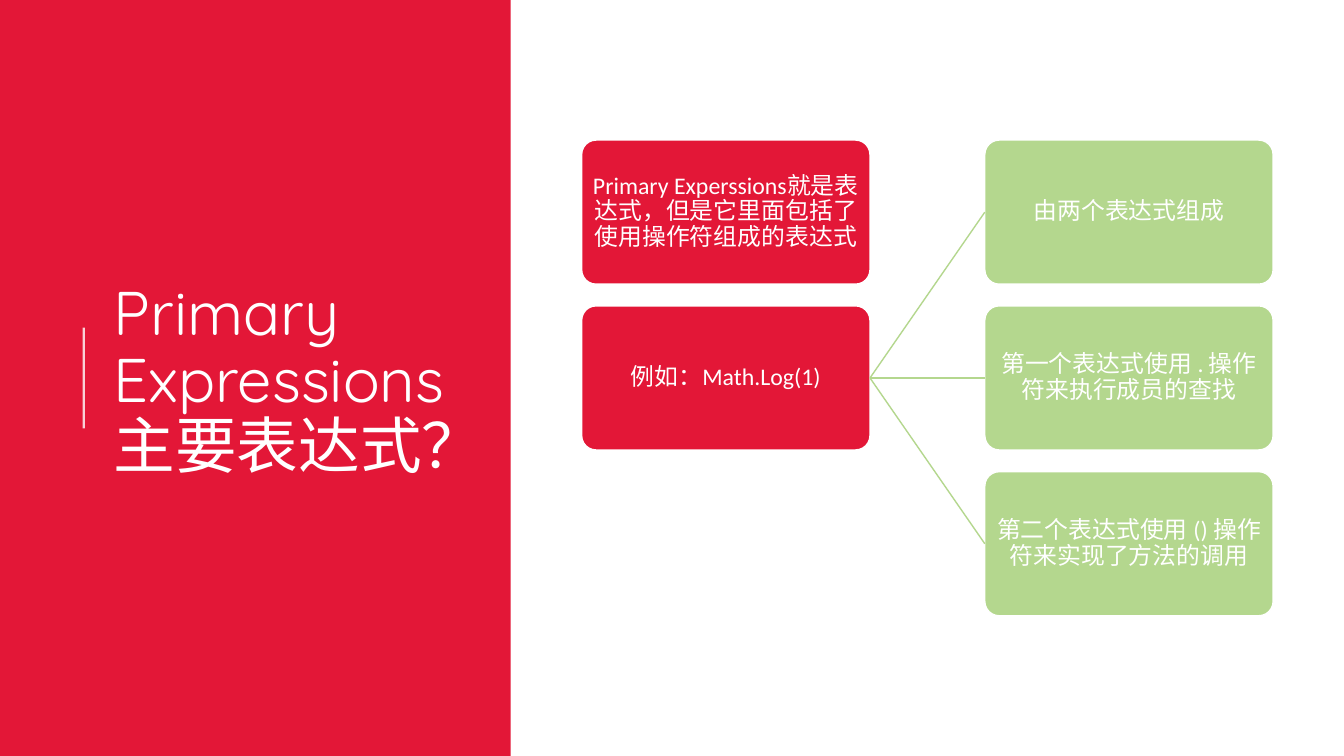
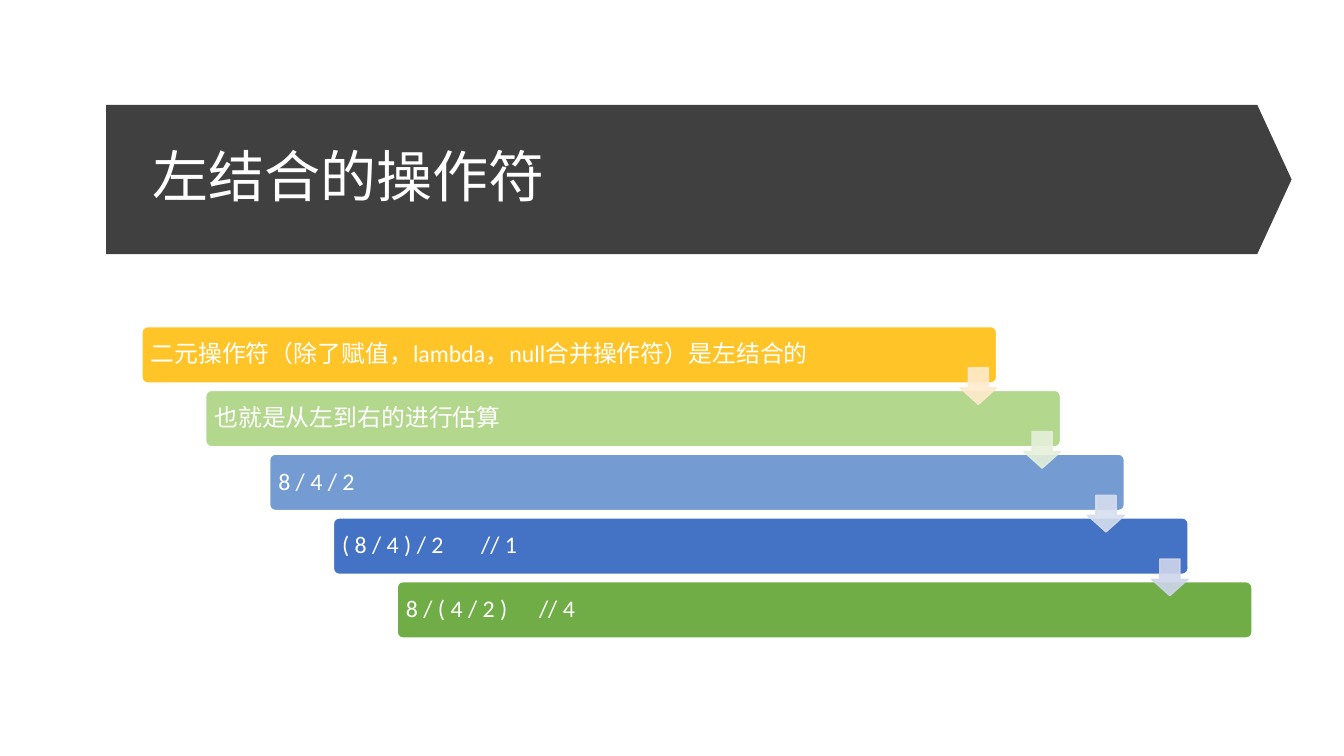
from dataclasses import dataclass

from lxml.etree import SubElement as Sub
from pptx import Presentation
from pptx.dml.color import RGBColor as Rgb
from pptx.enum.shapes import MSO_CONNECTOR as Conn, MSO_SHAPE as Kind
from pptx.enum.text import MSO_ANCHOR as Anchor, PP_ALIGN as Align
from pptx.oxml.ns import qn
from pptx.util import Inches, Pt


@dataclass(frozen=True)
class Theme:
    red: str = "E31737"
    lime: str = "B4D78E"
    gold: str = "FFC427"
    sky: str = "749CD3"
    blue: str = "4472C4"
    green: str = "70AD47"
    dark: str = "404040"
    white: str = "FFFFFF"
    tints: tuple = ("FFEACD", "E5F0DB", "D6DEEF", "CFD5EA")
    head: str = "Quicksand"
    body: str = "Calibri"
    cover: int = 44
    title: int = 40
    text: int = 17
    round: float = 0.1


@dataclass(frozen=True)
class Box:
    x: float
    y: float
    w: float
    h: float

    def cut(self, x, y, w, h):
        """Inner box, given in percent of this one."""
        return Box(self.x + self.w * x / 100, self.y + self.h * y / 100,
                   self.w * w / 100, self.h * h / 100)

    def area(self):
        return tuple(Inches(v) for v in (self.x, self.y, self.w, self.h))

    def left(self):
        return self.x, self.y + self.h / 2

    def right(self):
        return self.x + self.w, self.y + self.h / 2


THEME = Theme()
PAGE = Box(0, 0, 13.33, 7.5)


def paint(fmt, color, node, alpha=100):
    """Give a fill one solid colour, see-through below alpha 100."""
    fmt.solid()
    fmt.fore_color.rgb = Rgb.from_string(color)
    if alpha < 100:
        tone = node.find(qn("a:solidFill")).find(qn("a:srgbClr"))
        Sub(tone, qn("a:alpha"), val=str(alpha * 1000))


def stroke(item, color, width, alpha=100):
    item.line.width = Pt(width)
    paint(item.line.fill, color, item._element.spPr.find(qn("a:ln")), alpha)


def shape(slide, kind, box, fill, edge=None, alpha=100, adj=()):
    item = slide.shapes.add_shape(kind, *box.area())
    item.shadow.inherit = False
    for i, value in enumerate(adj):
        item.adjustments[i] = value
    paint(item.fill, fill, item._element.spPr, alpha)
    if edge:
        stroke(item, edge, 1, alpha)
    else:
        item.line.fill.background()
    return item


def line(slide, start, end, color, width=1, alpha=100):
    ends = [Inches(v) for v in (*start, *end)]
    item = slide.shapes.add_connector(Conn.STRAIGHT, *ends)
    stroke(item, color, width, alpha)
    Sub(item._element.spPr, qn("a:effectLst"))


def write(item, text, font, size, pads, align=Align.LEFT, tab=None):
    """Set one white paragraph; pads are the side and the top inset."""
    frame = item.text_frame
    frame.word_wrap = True
    frame.vertical_anchor = Anchor.MIDDLE
    frame.margin_left = frame.margin_right = Inches(pads[0])
    frame.margin_top = frame.margin_bottom = Inches(pads[1])
    para = frame.paragraphs[0]
    para.text = text
    para.alignment = align
    para.line_spacing = 0.9
    if tab:
        stops = Sub(para._p.get_or_add_pPr(), qn("a:tabLst"))
        Sub(stops, qn("a:tab"), pos=str(Inches(tab)), algn="l")
    for run in para.runs:
        run.font.name = font
        run.font.size = Pt(size)
        run.font.color.rgb = Rgb.from_string(THEME.white)


def panel(slide, box, text):
    shape(slide, Kind.RECTANGLE, box, THEME.red)
    label = slide.shapes.add_textbox(*box.cut(20.3, 10.4, 72.8, 80.3).area())
    write(label, text, THEME.head, THEME.cover, (0.1, 0.05))
    rule = box.cut(16.4, 43.33, 0, 13.34)
    line(slide, (rule.x, rule.y + rule.h), (rule.x, rule.y),
         THEME.white, 1.5, 80)


def tree(slide, box, roots, leaves):
    """Two columns of cards; the last root branches to every leaf."""
    wide, high = 41.7, 30.3
    step = (100 - high) / (len(leaves) - 1)

    def column(x, texts, color):
        cells = [box.cut(x, i * step, wide, high) for i in range(len(texts))]
        for cell, text in zip(cells, texts):
            card = shape(slide, Kind.ROUNDED_RECTANGLE, cell, color,
                         THEME.white, adj=[THEME.round])
            write(card, text, THEME.body, THEME.text, (0.01, 0.01),
                  Align.CENTER)
        return cells

    hub = column(0, roots, THEME.red)[-1]
    for leaf in column(100 - wide, leaves, THEME.lime):
        line(slide, hub.right(), leaf.left(), THEME.lime)


def banner(slide, box, text):
    item = shape(slide, Kind.PENTAGON, box, THEME.dark, adj=[0.23])
    write(item, text, THEME.head, THEME.title, (0.46, 0.05))


def stairs(slide, box, steps):
    """Bars stepping down to the right, an arrow from each to the next."""
    wide, high = 77, 18.1
    last = len(steps) - 1
    bars = [box.cut(i * (100 - wide) / last, i * (100 - high) / last,
                    wide, high) for i in range(len(steps))]
    for bar, (text, color, tab) in zip(bars, steps):
        item = shape(slide, Kind.ROUNDED_RECTANGLE, bar, color,
                     THEME.white, adj=[THEME.round])
        write(item, text, THEME.body, THEME.text, (0.07, 0.07), tab=tab)
    for bar, tint in zip(bars, THEME.tints):
        shape(slide, Kind.DOWN_ARROW, bar.cut(95.7, 73, 4.3, 65), tint,
              tint, 90, adj=[0.55, 0.45])


def main():
    deck = Presentation()
    deck.slide_width, deck.slide_height = Inches(PAGE.w), Inches(PAGE.h)
    blank = deck.slide_layouts[6]

    slide = deck.slides.add_slide(blank)
    panel(slide, PAGE.cut(0, 0, 38, 100), "Primary Expressions 主要表达式？")
    tree(slide, PAGE.cut(43.28, 18.53, 51.45, 62.93),
         ["Primary Experssions就是表达式，但是它里面包括了使用操作符组成的表达式",
          "例如：Math.Log(1)"],
         ["由两个表达式组成",
          "第一个表达式使用 . 操作符来执行成员的查找",
          "第二个表达式使用 () 操作符来实现了方法的调用"])

    slide = deck.slides.add_slide(blank)
    banner(slide, PAGE.cut(7.9, 13.87, 88.2, 19.73), "左结合的操作符")
    stairs(slide, PAGE.cut(10.56, 43.2, 82.6, 41.2), [
        ("二元操作符（除了赋值，lambda，null合并操作符）是左结合的",
         THEME.gold, None),
        ("也就是从左到右的进行估算", THEME.lime, None),
        ("8 / 4 / 2", THEME.sky, None),
        ("( 8 / 4 ) / 2\t// 1", THEME.blue, 1.38),
        ("8 / ( 4 / 2 )\t// 4", THEME.green, 1.32)])

    deck.save("out.pptx")


if __name__ == "__main__":
    main()
